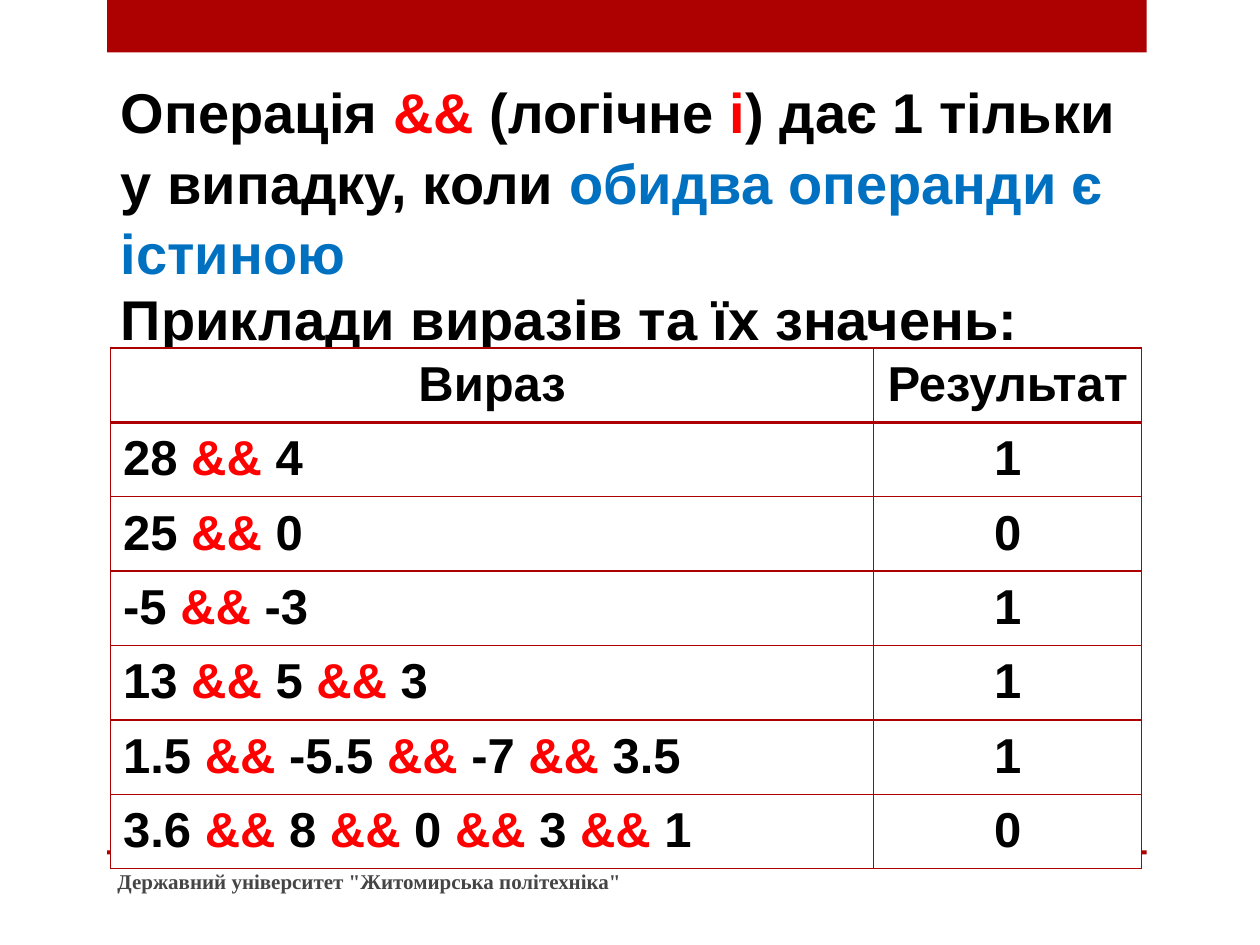
"""Build a slide explaining the logical AND operation with a table of examples."""
from lxml.etree import SubElement
from pptx import Presentation
from pptx.dml.color import RGBColor
from pptx.enum.shapes import MSO_SHAPE
from pptx.enum.text import MSO_ANCHOR, PP_ALIGN
from pptx.oxml import parse_xml
from pptx.oxml.ns import nsdecls, qn
from pptx.util import Pt

COLOURS = {"band": "AD0101", "black": "000000", "red": "FF0000",
           "blue": "0070C0", "grey": "454545", "white": "FFFFFF"}
HEADING = {"name": "Arial", "size": Pt(32), "bold": True}
CELL = {"name": "Arial", "size": Pt(28), "bold": True}
FOOTER = {"name": "Times New Roman", "size": Pt(12), "bold": True}


def write(frame, spans, style, align=PP_ALIGN.LEFT, spacing=1.05):
    para = frame.paragraphs[0]
    para.alignment = align
    para.line_spacing = spacing
    for text, colour in spans:
        span = para.add_run()
        span.text = text
        for name, value in style.items():
            setattr(span.font, name, value)
        span.font.color.rgb = RGBColor.from_string(COLOURS[colour])


def set_borders(cell, widths):
    properties = cell._tc.get_or_add_tcPr()
    for index, (side, width) in enumerate(widths.items()):
        line = parse_xml(f'<a:ln{side} {nsdecls("a")} w="{Pt(width)}"/>')
        fill = SubElement(line, qn("a:solidFill"))
        SubElement(fill, qn("a:srgbClr")).set("val", COLOURS["band"])
        properties.insert(index, line)


deck = Presentation()
deck.slide_width, deck.slide_height = Pt(720), Pt(540)
page = deck.slides.add_slide(deck.slide_layouts[6])

for top, height in [(0, 30), (486, 2.2)]:
    band = page.shapes.add_shape(MSO_SHAPE.RECTANGLE, Pt(61.2), Pt(top), Pt(594), Pt(height))
    band.shadow.inherit = False
    band.fill.solid()
    band.fill.fore_color.rgb = RGBColor.from_string(COLOURS["band"])
    band.line.fill.background()

definition = [("Операція ", "black"), ("&& ", "red"), ("(логічне ", "black"), ("і", "red"),
              (") дає 1 тільки у випадку, коли ", "black"),
              ("обидва операнди є істиною", "blue")]
examples = [("Приклади виразів та їх значень:", "black")]
university = [('Державний університет "Житомирська політехніка"', "grey")]

boxes = [
    (62, 39, 595.4, 123.8, definition, HEADING, 1.05, MSO_ANCHOR.TOP),
    (62, 157, 589, 46, examples, HEADING, 1.05, MSO_ANCHOR.TOP),
    (60, 489, 384, 28.8, university, FOOTER, 1, MSO_ANCHOR.MIDDLE),
]
for left, top, width, height, spans, style, spacing, anchor in boxes:
    box = page.shapes.add_textbox(Pt(left), Pt(top), Pt(width), Pt(height))
    box.text_frame.word_wrap = True
    box.text_frame.vertical_anchor = anchor
    write(box.text_frame, spans, style, spacing=spacing)

rows = [
    ("Вираз", "Результат"),
    ("28 && 4", "1"),
    ("25 && 0", "0"),
    ("-5 && -3", "1"),
    ("13 && 5 && 3", "1"),
    ("1.5 && -5.5 && -7 && 3.5", "1"),
    ("3.6 && 8 && 0 && 3 && 1", "0"),
]
row_height = 40.9
table = page.shapes.add_table(len(rows), 2, Pt(63.2), Pt(198.8), Pt(589.2),
                              Pt(row_height * len(rows))).table
table.horz_banding = False
for column, width in zip(table.columns, (436, 153.2)):
    column.width = Pt(width)

for row_index, values in enumerate(rows):
    table.rows[row_index].height = Pt(row_height)
    for column_index, value in enumerate(values):
        cell = table.cell(row_index, column_index)
        cell.fill.solid()
        cell.fill.fore_color.rgb = RGBColor.from_string(COLOURS["white"])
        set_borders(cell, {"L": 1, "R": 1, "T": 2 if row_index == 1 else 1,
                           "B": 2 if row_index == 0 else 1})
        words = value.replace(" ", " |").split("|")
        spans = [(word, "red" if "&&" in word else "black") for word in words]
        centred = row_index == 0 or column_index == 1
        write(cell.text_frame, spans, CELL, PP_ALIGN.CENTER if centred else PP_ALIGN.LEFT)

deck.save("out.pptx")
